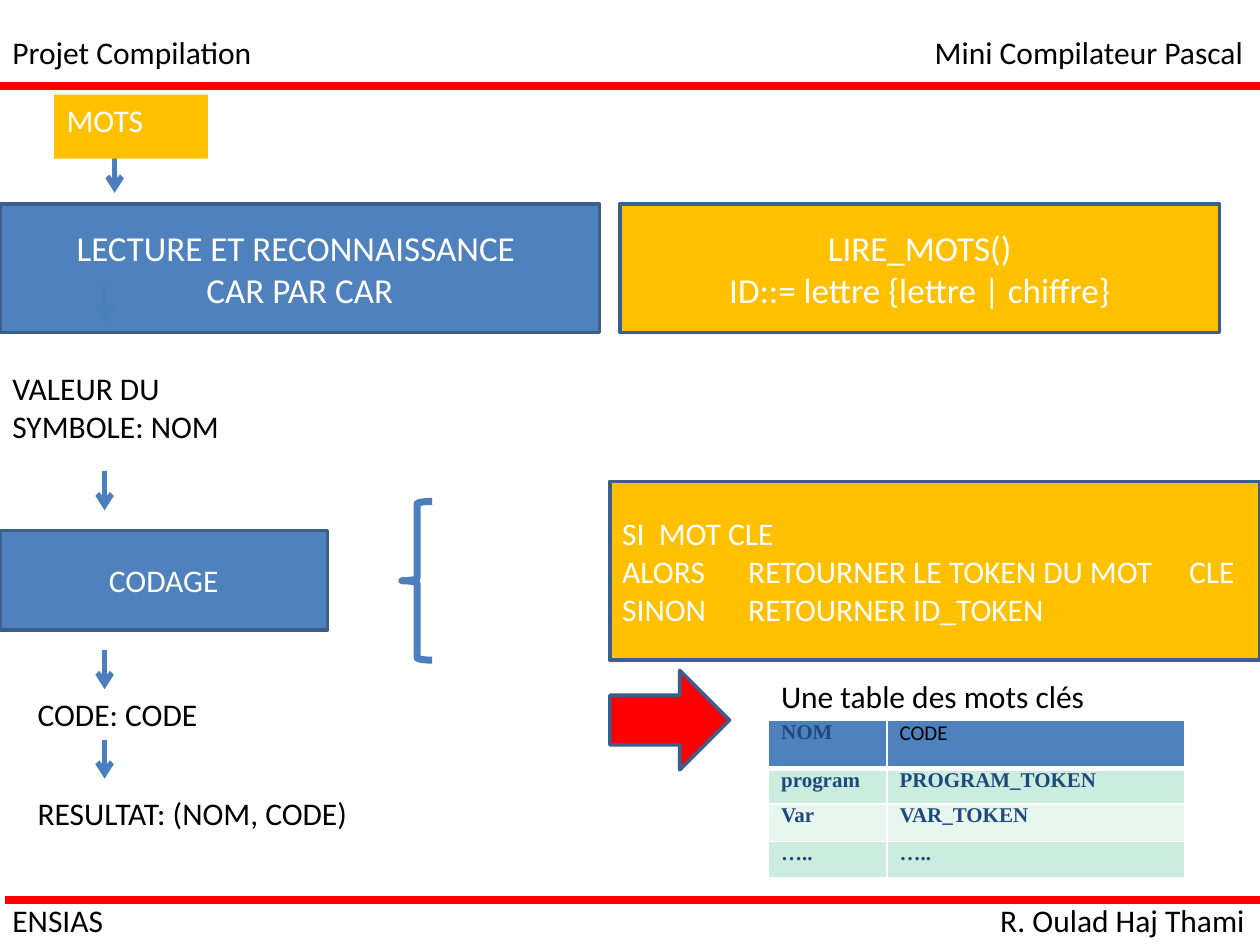
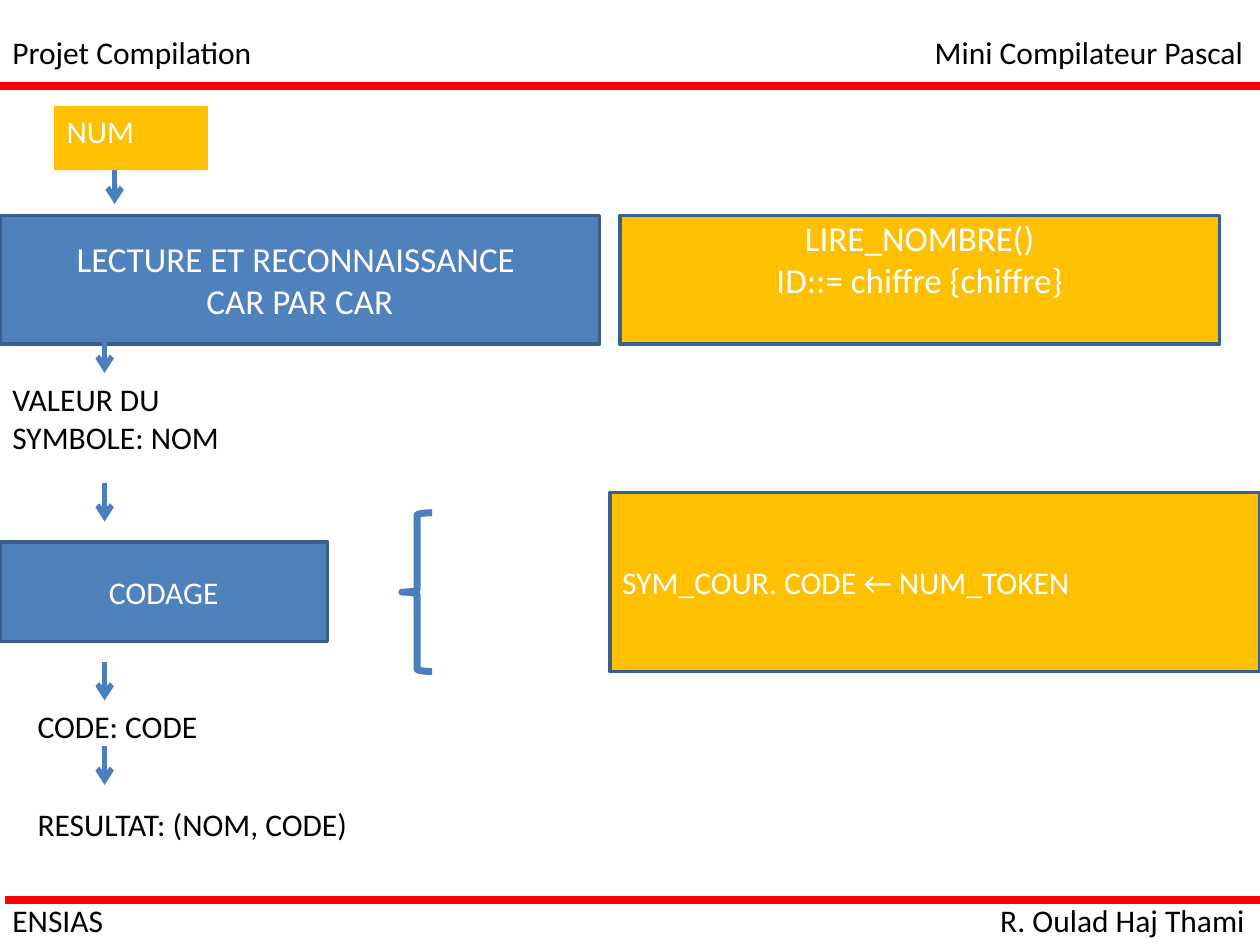
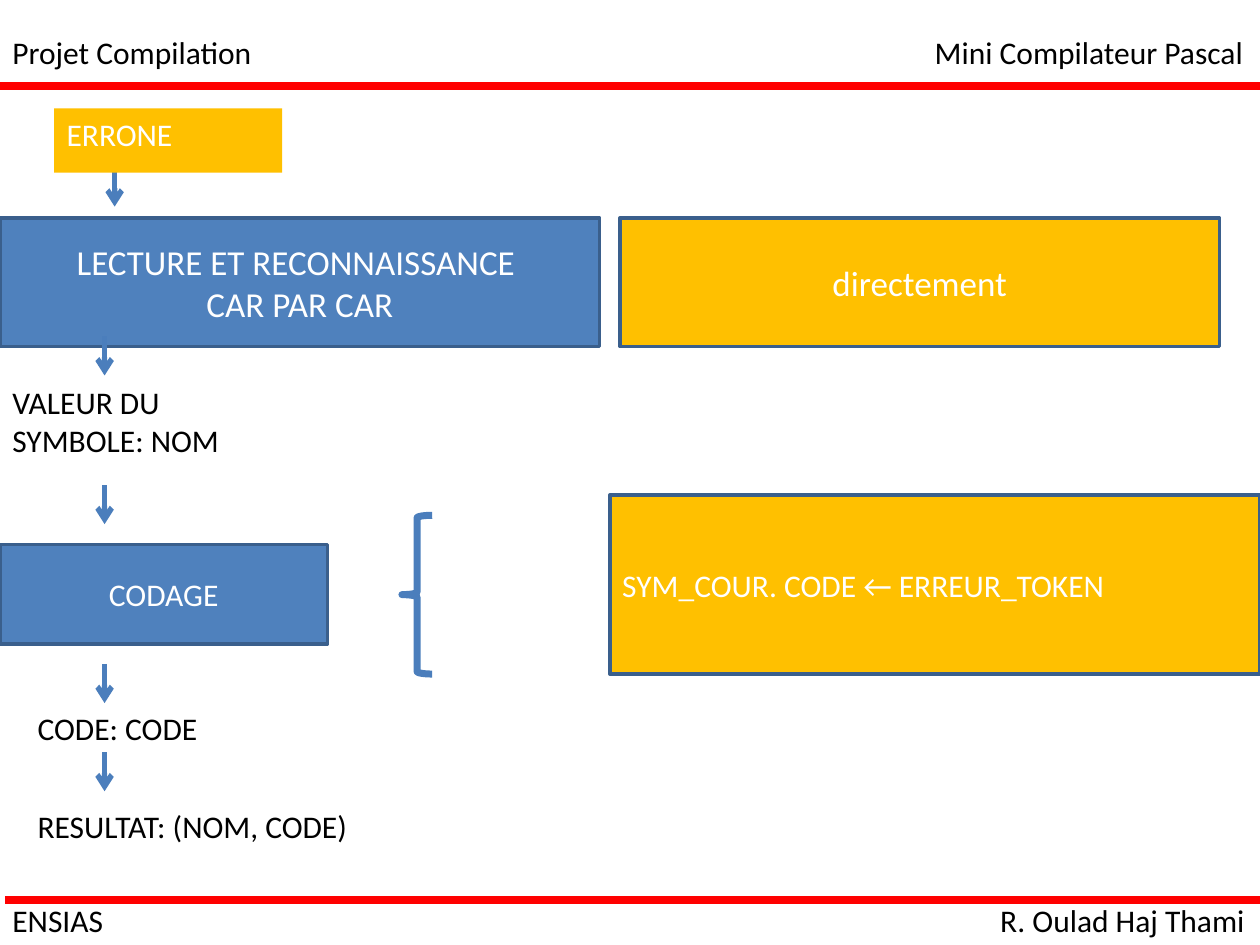
import pptx
import pptx.dml.color
import pptx.enum.shapes
import pptx.enum.text
import pptx.oxml
import pptx.oxml.ns
import pptx.util
import lxml.etree

Inches = pptx.util.Inches
Pt = pptx.util.Pt
color = pptx.dml.color.RGBColor.from_string
qn = pptx.oxml.ns.qn
Shapes = pptx.enum.shapes.MSO_SHAPE
Anchor = pptx.enum.text.MSO_ANCHOR
Align = pptx.enum.text.PP_ALIGN

BLUE = "4F81BD"
AMBER = "FFC000"
RED = "FF0000"
OUTLINE = "3A5F8C"
ARROW = "4B7EBC"
WHITE = "FFFFFF"
BLACK = "000000"
NAVY = "1F497D"
MINT = "CBECDE"
PALE_MINT = "E7F6EF"

LABEL = {"word_wrap": False, "auto_size": pptx.enum.text.MSO_AUTO_SIZE.SHAPE_TO_FIT_TEXT}
TAG = {**LABEL, "word_wrap": True, "vertical_anchor": Anchor.TOP}
BOX = {"word_wrap": True, "vertical_anchor": Anchor.MIDDLE}


def add_box(slide, position, lines, frame_format, kind=None, fill=None, line=None,
            width=2, size=18, align=Align.LEFT):
    lengths = [Inches(value) for value in position]
    if kind is None:
        shape = slide.shapes.add_textbox(*lengths)
    else:
        shape = slide.shapes.add_shape(kind, *lengths)
        shape.shadow.inherit = False
        if fill:
            shape.fill.solid()
            shape.fill.fore_color.rgb = color(fill)
        else:
            shape.fill.background()
        if line:
            shape.line.color.rgb = color(line)
            shape.line.width = Pt(width)
        else:
            shape.line.fill.background()
    for name, value in frame_format.items():
        setattr(shape.text_frame, name, value)
    for index, text in enumerate(lines):
        paragraph = shape.text_frame.paragraphs[0] if index == 0 else shape.text_frame.add_paragraph()
        paragraph.alignment = align
        run = paragraph.add_run()
        run.text = text
        run.font.name = "Calibri"
        run.font.size = Pt(size)
        run.font.color.rgb = color(WHITE if kind else BLACK)
    return shape


def add_line(slide, start, end, line, width, arrow=False):
    points = [Inches(value) for value in (*start, *end)]
    connector = slide.shapes.add_connector(pptx.enum.shapes.MSO_CONNECTOR.STRAIGHT, *points)
    connector.line.color.rgb = color(line)
    connector.line.width = Pt(width)
    if arrow:
        outline = connector.line._get_or_add_ln()
        lxml.etree.SubElement(outline, qn("a:tailEnd"), type="arrow")
    properties = connector._element.spPr
    lxml.etree.SubElement(properties, qn("a:effectLst"))


presentation = pptx.Presentation()
presentation.slide_width = Inches(10)
presentation.slide_height = Inches(7.5)

flows = [
    {"shift": 0, "tag": "MOTS", "tag_width": 1.22,
     "reader": ["LIRE_MOTS()", "ID::= lettre {lettre | chiffre}"], "reader_format": BOX,
     "coding": ["SI  MOT CLE", "ALORS\tRETOURNER LE TOKEN DU MOT \tCLE", "SINON\tRETOURNER ID_TOKEN"],
     "second_arrow": 2.25, "last_arrow": 5.87},
    {"shift": 0.09, "tag": "NUM", "tag_width": 1.22,
     "reader": ["LIRE_NOMBRE()", "ID::= chiffre {chiffre}"],
     "reader_format": {**BOX, "margin_bottom": Inches(0.38)},
     "coding": ["SYM_COUR. CODE ← NUM_TOKEN"],
     "second_arrow": 2.65, "last_arrow": 5.92},
    {"shift": 0.11, "tag": "ERRONE", "tag_width": 1.81,
     "reader": ["directement"], "reader_format": BOX,
     "coding": ["SYM_COUR. CODE ← ERREUR_TOKEN"],
     "second_arrow": 2.67, "last_arrow": 5.97},
]

for flow in flows:
    slide = presentation.slides.add_slide(presentation.slide_layouts[6])
    shift = flow["shift"]

    add_box(slide, (0, 1.62 + shift, 4.76, 1.02), ["LECTURE ET RECONNAISSANCE ", "CAR PAR CAR"], BOX,
            Shapes.RECTANGLE, BLUE, OUTLINE, size=20, align=Align.CENTER)
    add_box(slide, (0, 4.21 + shift, 2.6, 0.79), ["CODAGE"], BOX,
            Shapes.RECTANGLE, BLUE, OUTLINE, align=Align.CENTER)
    add_box(slide, (0, 2.88 + shift, 2.13, 0.71), ["VALEUR DU ", "SYMBOLE: NOM"], LABEL)
    add_box(slide, (0.2, 5.47 + shift, 1.48, 0.4), ["CODE: CODE"], LABEL)
    add_box(slide, (0.2, 6.25 + shift, 2.7, 0.4), ["RESULTAT: (NOM, CODE)"], LABEL)

    arrows = [(0.91, 1.22 + shift), (0.83, flow["second_arrow"]), (0.83, 3.74 + shift),
              (0.83, 5.16 + shift), (0.83, flow["last_arrow"])]
    for left, top in arrows:
        add_line(slide, (left, top), (left, top + 0.31), ARROW, 3, arrow=True)

    add_box(slide, (3.19, 3.98 + shift, 0.24, 1.26), [], BOX, Shapes.LEFT_BRACE, line=ARROW, width=4)
    add_box(slide, (0.43, 0.75 + shift, flow["tag_width"], 0.51), [flow["tag"]], TAG,
            Shapes.RECTANGLE, AMBER)
    add_box(slide, (4.92, 1.62 + shift, 4.76, 1.02), flow["reader"], flow["reader_format"],
            Shapes.RECTANGLE, AMBER, OUTLINE, size=20, align=Align.CENTER)
    add_box(slide, (4.84, 3.82 + shift, 5.16, 1.42), flow["coding"], BOX,
            Shapes.RECTANGLE, AMBER, OUTLINE)

    add_line(slide, (0, 0.68), (10, 0.68), RED, 4.5)
    add_line(slide, (0.04, 7.14), (10.04, 7.14), RED, 4.5)
    add_box(slide, (7.84, 7.1, 2.16, 0.4), ["R. Oulad Haj Thami"], LABEL)
    add_box(slide, (0, 0.21, 2.12, 0.4), ["Projet Compilation"], LABEL)
    add_box(slide, (7.32, 0.21, 2.68, 0.4), ["Mini Compilateur Pascal"], LABEL)
    add_box(slide, (0, 7.1, 0.93, 0.4), ["ENSIAS"], LABEL)

slide = presentation.slides[0]
pointer = add_box(slide, (4.92, 5.24, 0.79, 0.95), [], BOX, Shapes.DOWN_ARROW, RED, OUTLINE)
pointer.rotation = 270
add_box(slide, (6.1, 5.32, 3.38, 0.51), ["Une table des mots clés"], LABEL)

keywords = [("NOM", "CODE"), ("program", "PROGRAM_TOKEN"), ("Var", "VAR_TOKEN"), ("…..", "…..")]
row_fills = [BLUE, MINT, PALE_MINT, MINT]
row_heights = [0.38, 0.28, 0.3, 0.29]
table = slide.shapes.add_table(4, 2, Inches(6.1), Inches(5.72), Inches(3.3), Inches(1.25)).table
for column, width in zip(table.columns, (0.94, 2.36)):
    column.width = Inches(width)
for row_index, words in enumerate(keywords):
    table.rows[row_index].height = Inches(row_heights[row_index])
    for column_index, word in enumerate(words):
        cell = table.cell(row_index, column_index)
        cell.margin_top = cell.margin_bottom = 0
        properties = cell._tc.get_or_add_tcPr()
        for side in ("L", "R", "T", "B"):
            thick = (row_index, side) in ((0, "B"), (1, "T"))
            border = lxml.etree.SubElement(properties, qn("a:ln" + side), w=str(Pt(3 if thick else 1)))
            border_fill = lxml.etree.SubElement(border, qn("a:solidFill"))
            lxml.etree.SubElement(border_fill, qn("a:srgbClr"), val=WHITE)
        cell.fill.solid()
        cell.fill.fore_color.rgb = color(row_fills[row_index])
        plain = word == "CODE"
        run = cell.text_frame.paragraphs[0].add_run()
        run.text = word
        run.font.color.rgb = color(BLACK if plain else NAVY)
        font_format = {"name": "Calibri" if plain else "Times New Roman", "size": Pt(12), "bold": not plain}
        for name, value in font_format.items():
            setattr(run.font, name, value)

presentation.save("out.pptx")
